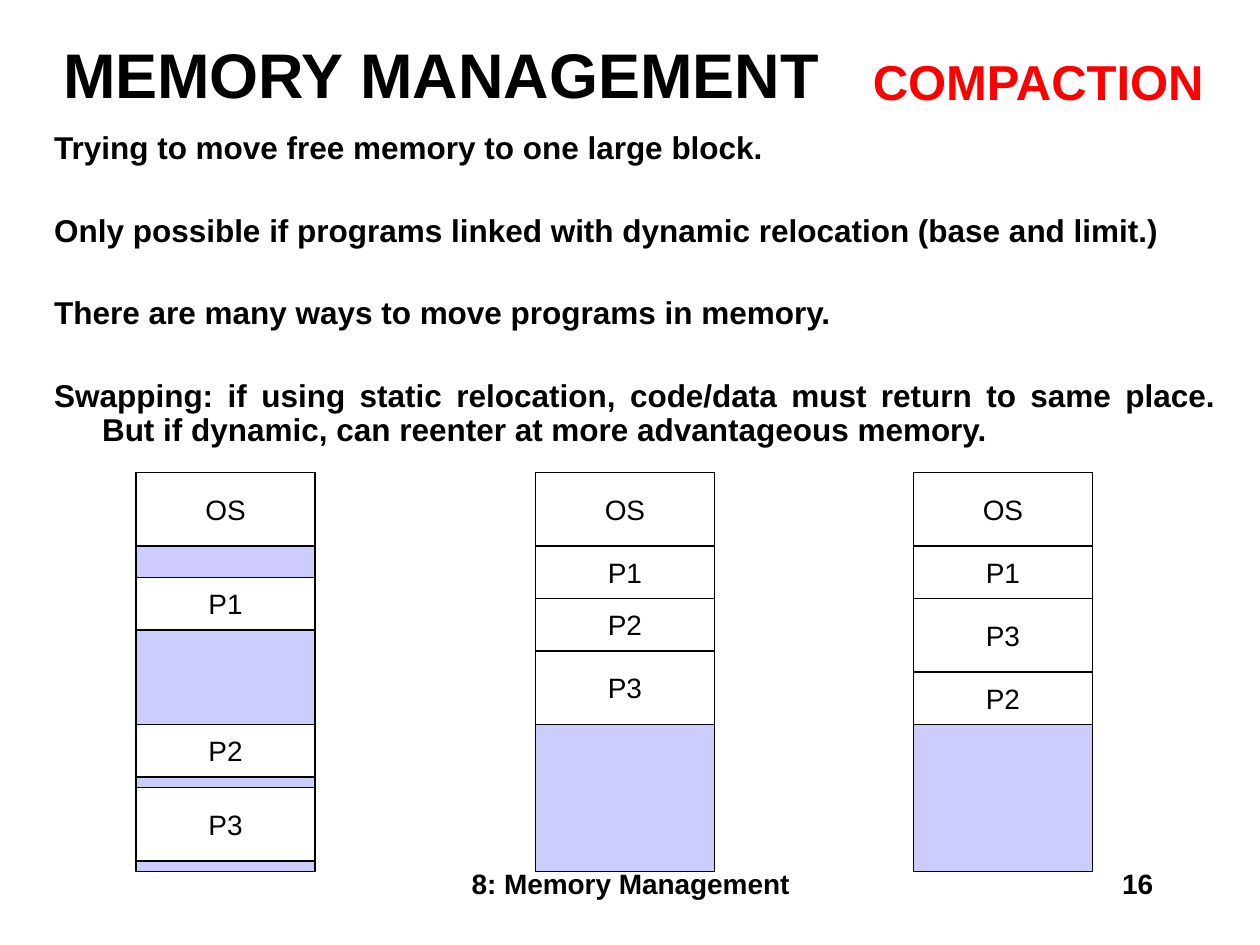
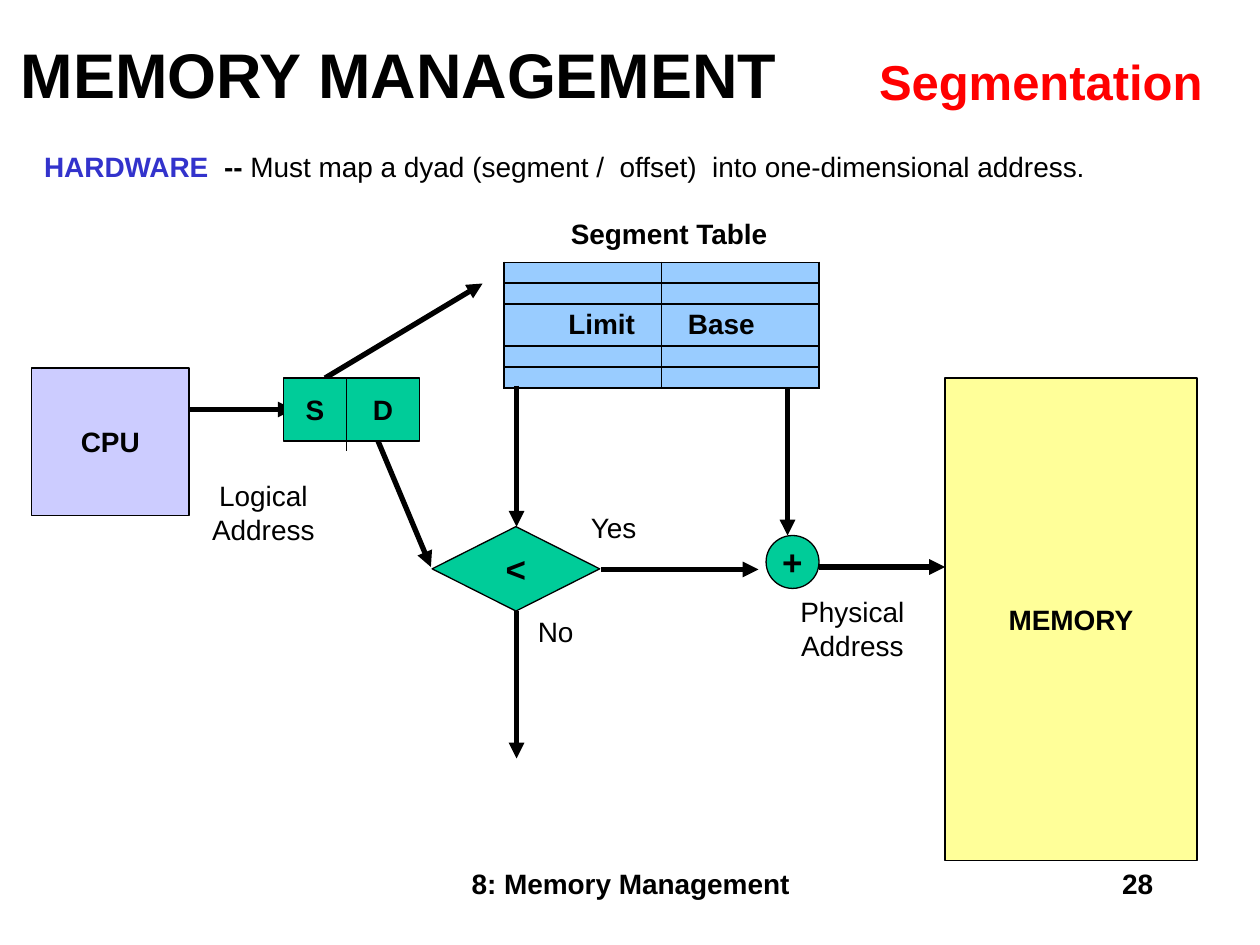
from dataclasses import dataclass
from lxml.etree import SubElement
from pptx import Presentation
from pptx.dml.color import RGBColor
from pptx.enum.shapes import MSO_CONNECTOR, MSO_SHAPE
from pptx.enum.text import MSO_ANCHOR, MSO_AUTO_SIZE, PP_ALIGN
from pptx.oxml.ns import qn
from pptx.util import Inches, Pt


@dataclass(frozen=True)
class Theme:
    font: str = "Arial"
    black: str = "000000"
    white: str = "FFFFFF"
    red: str = "FF0000"
    blue: str = "3333CC"
    lilac: str = "CCCCFF"
    yellow: str = "FFFF99"
    sky: str = "99CCFF"
    green: str = "00CC99"
    title: int = 36
    topic: int = 28
    symbol: int = 20
    points: int = 18
    label: int = 16
    blank: int = 4
    outline: float = 0.75
    arrow: int = 3


theme = Theme()


def style(frame, size, bold=True, color=theme.black, align=PP_ALIGN.CENTER):
    for paragraph in frame.paragraphs:
        paragraph.alignment = align
        for run in paragraph.runs:
            run.font.name = theme.font
            run.font.size = Pt(size)
            run.font.bold = bold
            run.font.color.rgb = RGBColor.from_string(color)


def box(slide, place, text="", kind=None, fill=None, size=theme.label, wrap=False, **look):
    place = [Inches(length) for length in place]
    if kind is None:
        shape = slide.shapes.add_textbox(*place)
    else:
        shape = slide.shapes.add_shape(kind, *place)
        shape.shadow.inherit = False
        shape.fill.solid()
        shape.fill.fore_color.rgb = RGBColor.from_string(fill)
        shape.line.color.rgb = RGBColor.from_string(theme.black)
        shape.line.width = Pt(theme.outline)
        shape.text_frame.vertical_anchor = MSO_ANCHOR.MIDDLE
    shape.text_frame.word_wrap = wrap
    if text:
        shape.text_frame.text = text
        style(shape.text_frame, size, **look)


deck = Presentation()
deck.slide_width, deck.slide_height = Inches(10), Inches(7.5)

pages = [
    ("16", 7, "COMPACTION", (6.81, 0.36, 2.86, 0.57), (0.33, 1, 9.42, 2.42)),
    ("28", 6.33, "Segmentation", (6.87, 0.36, 2.78, 0.57), (0.25, 1.17, 9.42, 0.5)),
]
for number, title_width, topic, topic_place, body_place in pages:
    slide = deck.slides.add_slide(deck.slide_layouts[1])
    title, body = slide.placeholders
    title.left, title.top = Inches(0), Inches(0.17)
    title.width, title.height = Inches(title_width), Inches(0.83)
    title.text_frame.text = "MEMORY MANAGEMENT"
    title.text_frame.vertical_anchor = MSO_ANCHOR.MIDDLE
    style(title.text_frame, theme.title)
    body.left, body.top, body.width, body.height = [Inches(length) for length in body_place]
    for frame in (title.text_frame, body.text_frame):
        frame.auto_size = MSO_AUTO_SIZE.NONE
    box(slide, topic_place, topic, size=theme.topic, color=theme.red)
    box(slide, (3.42, 6.83, 3.17, 0.5), "8: Memory Management", wrap=True)
    box(slide, (7.17, 6.83, 2.08, 0.5), number, wrap=True, align=PP_ALIGN.RIGHT)

compaction, segmentation = deck.slides

points = compaction.placeholders[1].text_frame
points.text = "\n".join([
    "Trying to move free memory to one large block.",
    "Only possible if programs linked with dynamic relocation (base and limit.)",
    "There are many ways to move programs in memory.",
    "Swapping: if using static relocation, code/data must return to same place. "
    "But if dynamic, can reenter at more advantageous memory.",
])
style(points, theme.points, align=PP_ALIGN.JUSTIFY)

hardware = segmentation.placeholders[1].text_frame
hardware.text = "HARDWARE"
hardware.paragraphs[0].add_run().text = "  -- "
hardware.paragraphs[0].add_run().text = (
    "Must map a dyad (segment /  offset)  into one-dimensional address."
)
style(hardware, theme.label, align=PP_ALIGN.JUSTIFY)
keyword, dash, sentence = hardware.paragraphs[0].runs
keyword.font.color.rgb = RGBColor.from_string(theme.blue)
sentence.font.bold = False

for frame, indent in ((points, 0.38), (hardware, 0)):
    for index, paragraph in enumerate(frame.paragraphs):
        paragraph.line_spacing = 0.9
        paragraph.space_before = Pt(27.7 if index else 3.6)
        properties = paragraph._p.get_or_add_pPr()
        properties.set("marL", str(Inches(indent)))
        properties.set("indent", str(Inches(-indent)))
        SubElement(properties, qn("a:buNone"))

unit = 1 / 12
sizes = {"OS": 7, "P1": 5, "P2": 5, "P3": 7}
memory_top, memory_units, memory_width = 3.75, 38, 1.42
layouts = [
    (1.08, ["OS", 3, "P1", 9, "P2", 1, "P3"]),
    (4.25, ["OS", "P1", "P2", "P3"]),
    (7.25, ["OS", "P1", "P3", "P2"]),
]
for left, regions in layouts:
    box(compaction, (left, memory_top, memory_width, memory_units * unit),
        kind=MSO_SHAPE.RECTANGLE, fill=theme.lilac)
    top = memory_top
    for region in regions:
        height = sizes.get(region, region) * unit
        if region in sizes:
            box(compaction, (left, top, memory_width, height), region,
                MSO_SHAPE.RECTANGLE, theme.white, bold=False)
        top += height

row_units = [1, 1, 2, 1, 1]
segment_table = segmentation.shapes.add_table(
    len(row_units), 2, Inches(4), Inches(2.08), Inches(2.5), Inches(1)
).table
segment_table.first_row = segment_table.horz_banding = False
entry = {(2, 0): ("Limit", PP_ALIGN.RIGHT), (2, 1): ("Base", PP_ALIGN.LEFT)}
for row, units in enumerate(row_units):
    segment_table.rows[row].height = Inches(units / 6)
    for column in range(2):
        cell = segment_table.cell(row, column)
        cell.margin_top = cell.margin_bottom = 0
        cell.margin_left = cell.margin_right = Inches(0.21)
        cell.vertical_anchor = MSO_ANCHOR.MIDDLE
        if (row, column) in entry:
            cell.text, align = entry[row, column]
            style(cell.text_frame, theme.label, align=align)
        else:
            SubElement(cell.text_frame.paragraphs[0]._p, qn("a:endParaRPr"),
                       sz=str(theme.blank * 100))
        for side in ("lnL", "lnR", "lnT", "lnB"):
            border = SubElement(cell._tc.get_or_add_tcPr(), qn(f"a:{side}"),
                                w=str(Pt(theme.outline)))
            SubElement(SubElement(border, qn("a:solidFill")), qn("a:srgbClr"),
                       val=theme.black)
        cell.fill.solid()
        cell.fill.fore_color.rgb = RGBColor.from_string(theme.sky)

lines = [
    (1.5, 3.25, 2.33, 3.25, True),
    (4.77, 4.52, 6.02, 4.52, True),
    (6.5, 4.5, 7.5, 4.5, True),
    (4.1, 4.85, 4.1, 6.02, True),
    (4.1, 3.06, 4.1, 4.18, True),
    (6.25, 3.08, 6.25, 4.25, True),
    (3, 3.5, 3.42, 4.5, True),
    (2.58, 3, 3.83, 2.25, True),
    (2.75, 3, 2.75, 3.58, False),
]
for *ends, is_arrow in lines:
    line = segmentation.shapes.add_connector(
        MSO_CONNECTOR.STRAIGHT, *[Inches(length) for length in ends])
    line.line.color.rgb = RGBColor.from_string(theme.black)
    line.line.width = Pt(theme.arrow if is_arrow else theme.outline)
    properties = line._element.spPr
    if is_arrow:
        SubElement(properties.find(qn("a:ln")), qn("a:tailEnd"), type="triangle")
    SubElement(properties, qn("a:effectLst"))

parts = [
    ((0.25, 2.92, 1.25, 1.17), "CPU", MSO_SHAPE.RECTANGLE, theme.lilac, theme.label),
    ((7.5, 3, 2, 3.83), "MEMORY", MSO_SHAPE.RECTANGLE, theme.yellow, theme.label),
    ((2.25, 3, 0.5, 0.5), "S", MSO_SHAPE.RECTANGLE, theme.green, theme.label),
    ((2.75, 3, 0.58, 0.5), "D", MSO_SHAPE.RECTANGLE, theme.green, theme.label),
    ((6.08, 4.25, 0.42, 0.42), "+", MSO_SHAPE.OVAL, theme.green, theme.symbol),
    ((3.43, 4.18, 1.33, 0.67), "<", MSO_SHAPE.FLOWCHART_DECISION, theme.green, theme.symbol),
]
for part in parts:
    box(segmentation, *part)

captions = [
    ((4.17, 4.83, 0.48, 0.37), "No", False),
    ((4.58, 4, 0.58, 0.37), "Yes", False),
    ((1.58, 3.75, 1.02, 0.64), "Logical\nAddress", False),
    ((6.25, 4.67, 1.03, 0.64), "Physical\nAddress", False),
    ((4.42, 1.67, 1.78, 0.37), "Segment Table", True),
]
for place, caption, bold in captions:
    box(segmentation, place, caption, bold=bold)

deck.save("out.pptx")
